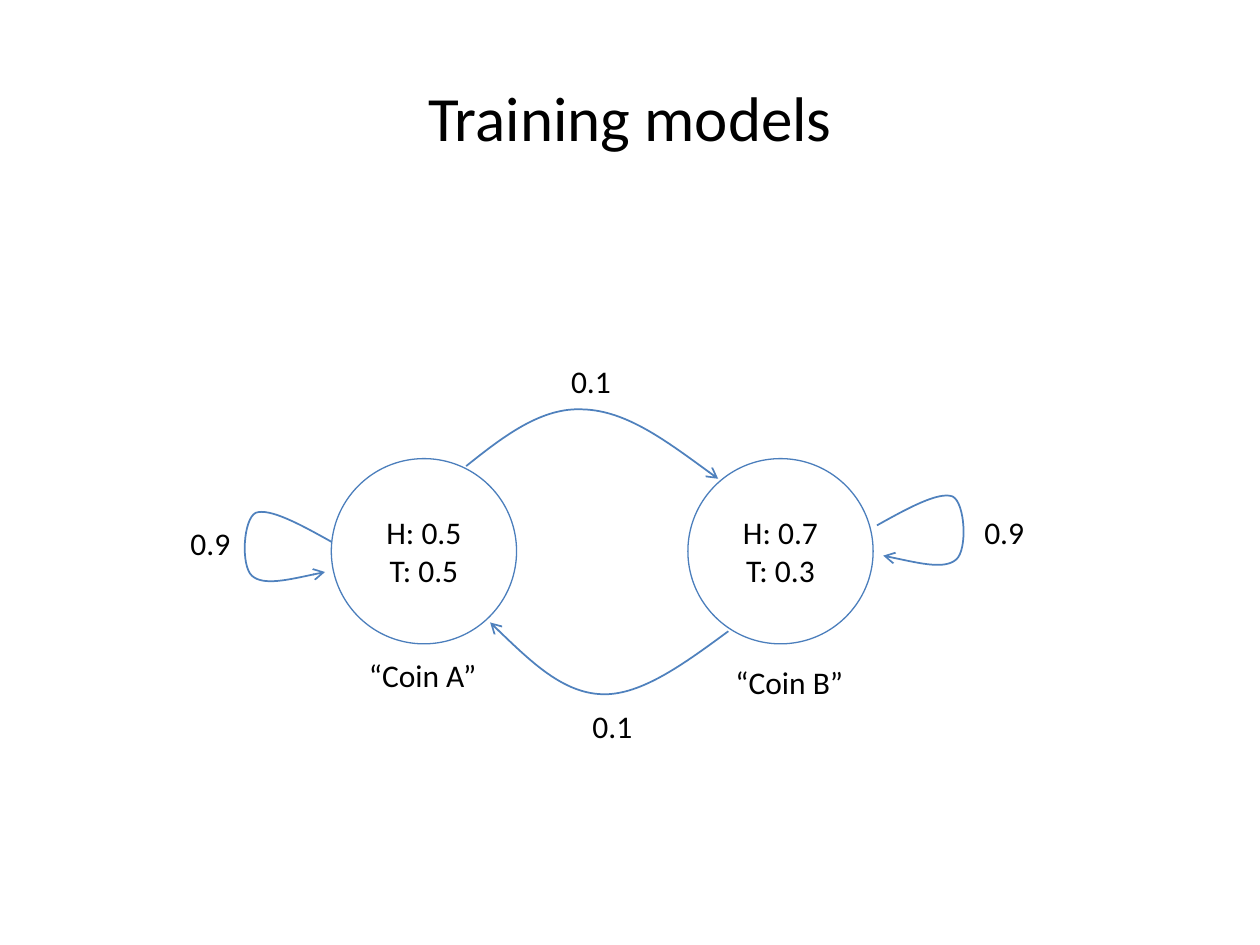
from pptx import Presentation
from pptx.dml.color import RGBColor
from pptx.enum.shapes import MSO_SHAPE
from pptx.enum.text import MSO_ANCHOR, MSO_AUTO_SIZE, PP_ALIGN
from pptx.oxml.ns import qn
from pptx.util import Inches, Pt
from lxml.etree import SubElement

FONT = "Calibri"
BLACK, OUTLINE, ARROW = "000000", "4B7EBC", "4F81BD"
COIN_SIZE = 1.47
LABEL_HEIGHT = 0.4

# Offsets from the start of a loop that opens to the right
LOOP = [(0.25, -0.14), (0.49, -0.27), (0.6, -0.23),
        (0.7, -0.18), (0.72, 0.19), (0.63, 0.27),
        (0.54, 0.35), (0.29, 0.29), (0.05, 0.24)]


def color(hex_code):
    return RGBColor.from_string(hex_code)


def write_lines(frame, lines, size):
    frame.vertical_anchor = MSO_ANCHOR.MIDDLE
    for index, line in enumerate(lines):
        para = frame.add_paragraph() if index else frame.paragraphs[0]
        para.text = line
        para.alignment = PP_ALIGN.CENTER
        para.font.name = FONT
        para.font.size = Pt(size)
        para.font.color.rgb = color(BLACK)


def add_title(page, left, top, width, height, text):
    box = page.shapes.add_textbox(*map(Inches, (left, top, width, height)))
    box.text_frame.word_wrap = True
    write_lines(box.text_frame, [text], 36)


def add_label(page, left, top, width, text):
    box = page.shapes.add_textbox(*map(Inches, (left, top, width, LABEL_HEIGHT)))
    box.text_frame.word_wrap = False
    box.text_frame.auto_size = MSO_AUTO_SIZE.SHAPE_TO_FIT_TEXT
    write_lines(box.text_frame, [text], 18)


def style_outline(shape, line_color, width):
    shape.shadow.inherit = False
    shape.fill.background()
    shape.line.color.rgb = color(line_color)
    shape.line.width = Pt(width)


def add_coin(page, left, top, odds):
    coin = page.shapes.add_shape(
        MSO_SHAPE.OVAL, *map(Inches, (left, top, COIN_SIZE, COIN_SIZE)))
    style_outline(coin, OUTLINE, 0.75)
    write_lines(coin.text_frame, odds, 18)


def add_curved_arrow(page, start, points):
    """Draw cubic curves; every three points are two controls and an end."""
    builder = page.shapes.build_freeform(Inches(start[0]), Inches(start[1]))
    builder.add_line_segments(
        [(Inches(x), Inches(y)) for x, y in points], close=False)
    arrow = builder.convert_to_shape()
    style_outline(arrow, ARROW, 1)

    outline = arrow.element.find(".//" + qn("a:path"))
    segments = outline.findall(qn("a:lnTo"))
    for first in range(0, len(segments), 3):
        curve = SubElement(outline, qn("a:cubicBezTo"))
        for segment in segments[first:first + 3]:
            curve.append(segment[0])
            outline.remove(segment)

    line = arrow.element.spPr.find(qn("a:ln"))
    SubElement(line, qn("a:tailEnd"), type="arrow")


def add_loop(page, x, y, direction):
    """Draw a self-transition; direction is 1 for right and -1 for left."""
    add_curved_arrow(page, (x, y),
                     [(x + direction * dx, y + dy) for dx, dy in LOOP])


def add_coin_model(page):
    add_coin(page, 2.63, 3.64, ["H: 0.5", "T: 0.5"])
    add_coin(page, 5.46, 3.64, ["H: 0.7", "T: 0.3"])

    add_curved_arrow(page, (3.7, 3.7), [
        (4, 3.46), (4.3, 3.23), (4.63, 3.25),
        (4.97, 3.26), (5.33, 3.53), (5.7, 3.8)])
    add_curved_arrow(page, (5.78, 5.01), [
        (5.44, 5.26), (5.09, 5.52), (4.78, 5.51),
        (4.47, 5.5), (4.18, 5.22), (3.89, 4.94)])
    add_loop(page, 6.96, 4.17, 1)
    add_loop(page, 2.63, 4.3, -1)

    for left, top, width, text in [
            (1.41, 4.11, 0.52, "0.9"),
            (4.43, 2.82, 0.52, "0.1"),
            (7.71, 4.02, 0.52, "0.9"),
            (4.6, 5.56, 0.52, "0.1"),
            (2.82, 5.16, 1.07, "“Coin A”"),
            (5.73, 5.21, 1.07, "“Coin B”")]:
        add_label(page, left, top, width, text)


def main():
    deck = Presentation()
    deck.slide_width, deck.slide_height = Inches(10), Inches(7.5)
    page = deck.slides.add_slide(deck.slide_layouts[6])
    add_title(page, 0.5, 0.3, 9, 1.25, "Training models")
    add_coin_model(page)
    deck.save("out.pptx")


if __name__ == "__main__":
    main()
